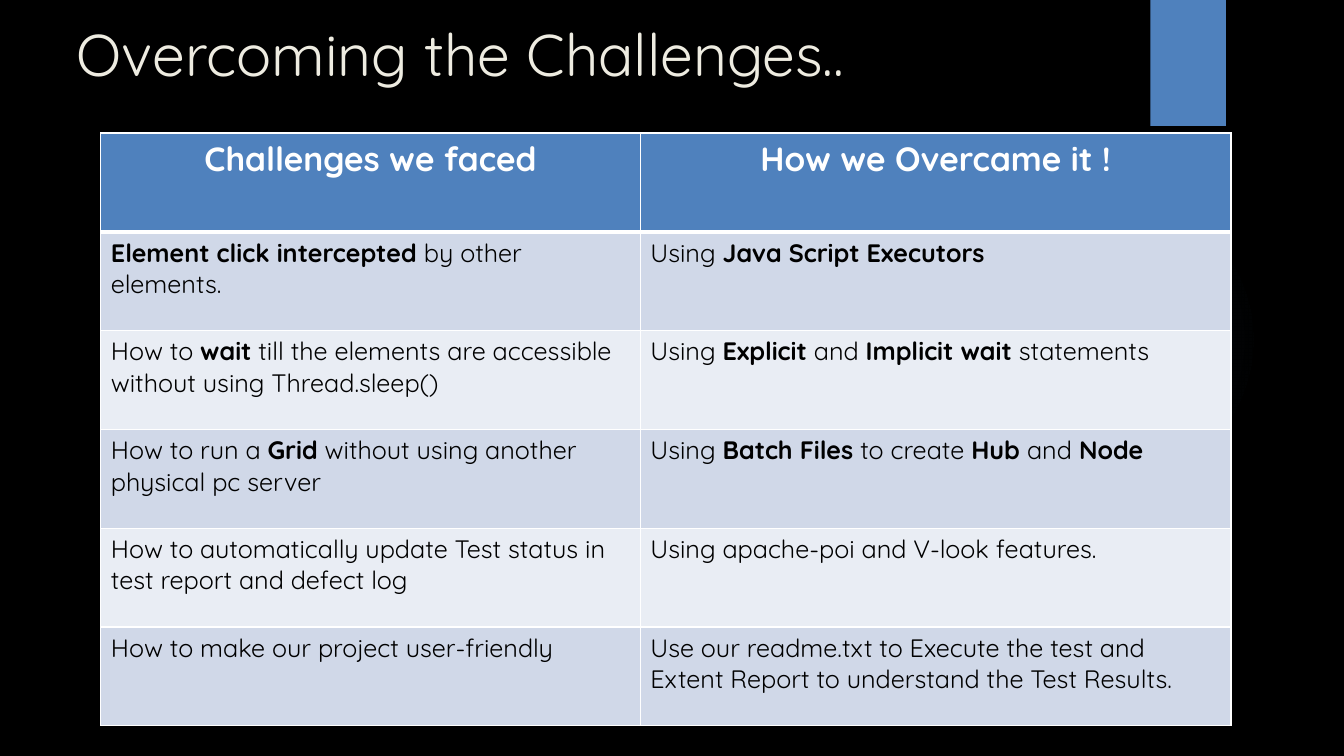
"""Build the slide that pairs project challenges with their solutions."""
from lxml import etree
from pptx import Presentation
from pptx.dml.color import RGBColor
from pptx.enum.shapes import MSO_SHAPE
from pptx.enum.text import MSO_ANCHOR, MSO_AUTO_SIZE, PP_ALIGN
from pptx.oxml import parse_xml
from pptx.oxml.ns import nsdecls, qn
from pptx.util import Inches, Pt

RECTANGLE, OVAL = MSO_SHAPE.RECTANGLE, MSO_SHAPE.OVAL
TOP, NO_FIT = MSO_ANCHOR.TOP, MSO_AUTO_SIZE.NONE
LEFT, CENTER = PP_ALIGN.LEFT, PP_ALIGN.CENTER

FONT = "Quicksand"
BLACK, WHITE, CREAM = "000000", "FFFFFF", "EEECE1"
BLUE, GLOW_BLUE = "4F81BD", "558ED5"
BANDS = ("D0D8E8", "E9EDF4")
GLOW_STOPS = ((0, 7), (36, 6), (69, 0))
COLUMN_WIDTHS = (5.35, 5.86)
ROW_HEIGHT = 0.98

HEADERS = ("Challenges we faced", "How we Overcame it !")
# Text between asterisks is bold.
ROWS = (
    ("*Element click intercepted *by other elements.",
     "Using *Java Script Executors*"),
    ("How to *wait* till the elements are accessible without using Thread.sleep()",
     "Using *Explicit* and *Implicit wait* statements"),
    ("How to run a *Grid* without using another physical pc server",
     "Using *Batch Files *to create *Hub *and* Node*"),
    ("How to automatically update Test status in test report and defect log",
     "Using apache-poi and V-look features."),
    ("How to make our project user-friendly",
     "Use our readme.txt to Execute the test and Extent Report to understand the Test Results."),
)


def rgb(value):
    return RGBColor.from_string(value)


def style(p, size, color, align=LEFT):
    p.alignment = align
    p.font.name = FONT
    p.font.size = Pt(size)
    p.font.color.rgb = rgb(color)


def add_block(s, kind, left, top, width, height, color):
    block = s.shapes.add_shape(kind, Inches(left), Inches(top), Inches(width), Inches(height))
    block.shadow.inherit = False
    block.fill.solid()
    block.fill.fore_color.rgb = rgb(color)
    block.line.fill.background()
    return block


def add_glow(s):
    glow = add_block(s, OVAL, 9.41, 1.83, 3.08, 3.08, GLOW_BLUE)
    stops = "".join(
        f'<a:gs pos="{pos * 1000}"><a:srgbClr val="{GLOW_BLUE}">'
        f'<a:alpha val="{alpha * 1000}"/></a:srgbClr></a:gs>'
        for pos, alpha in GLOW_STOPS)
    gradient = parse_xml(
        f'<a:gradFill {nsdecls("a")}><a:gsLst>{stops}</a:gsLst><a:path path="circle">'
        '<a:fillToRect l="50000" t="50000" r="50000" b="50000"/></a:path></a:gradFill>')
    solid = glow.fill._xPr.find(qn("a:solidFill"))
    solid.getparent().replace(solid, gradient)


def set_title(s, text):
    title = s.shapes.title
    title.left, title.top = Inches(0.66), Inches(0.13)
    title.width, title.height = Inches(10.29), Inches(1.06)
    tf = title.text_frame
    tf.text = text
    tf.word_wrap = True
    tf.auto_size = NO_FIT
    tf.vertical_anchor = TOP
    style(tf.paragraphs[0], 42, CREAM)


def set_borders(cell, top, bottom):
    tc_pr = cell._tc.get_or_add_tcPr()
    for side, width in (("L", 1), ("R", 1), ("T", top), ("B", bottom)):
        line = etree.SubElement(tc_pr, qn(f"a:ln{side}"), w=str(Pt(width)))
        solid = etree.SubElement(line, qn("a:solidFill"))
        etree.SubElement(solid, qn("a:srgbClr"), val=WHITE)


def fill_cell(cell, text, fill, size, color, align=LEFT, header=False, top=1, bottom=1):
    set_borders(cell, top, bottom)
    cell.fill.solid()
    cell.fill.fore_color.rgb = rgb(fill)
    p = cell.text_frame.paragraphs[0]
    style(p, size, color, align)
    for i, part in enumerate(text.split("*")):
        if part:
            r = p.add_run()
            r.text = part
            r.font.bold = header or i % 2 == 1


def add_challenge_table(s):
    count = len(ROWS) + 1
    table = s.shapes.add_table(count, 2, Inches(1), Inches(1.32), Inches(sum(COLUMN_WIDTHS)),
                               Inches(ROW_HEIGHT * count)).table
    for column, width in zip(table.columns, COLUMN_WIDTHS):
        column.width = Inches(width)
    for row in table.rows:
        row.height = Inches(ROW_HEIGHT)
    for j, text in enumerate(HEADERS):
        fill_cell(table.cell(0, j), text, BLUE, 24, WHITE, CENTER, header=True, bottom=3)
    for i, texts in enumerate(ROWS):
        for j, text in enumerate(texts):
            fill_cell(table.cell(i + 1, j), text, BANDS[i % 2], 18, BLACK,
                      top=3 if i == 0 else 1)


def main():
    prs = Presentation()
    prs.slide_width, prs.slide_height = Inches(13.33), Inches(7.5)
    s = prs.slides.add_slide(prs.slide_layouts[5])
    s.background.fill.solid()
    s.background.fill.fore_color.rgb = rgb(BLACK)
    add_glow(s)
    add_block(s, RECTANGLE, 11.41, 0, 0.75, 1.25, BLUE)
    set_title(s, "Overcoming the Challenges..")
    add_challenge_table(s)
    prs.save("out.pptx")


if __name__ == "__main__":
    main()
